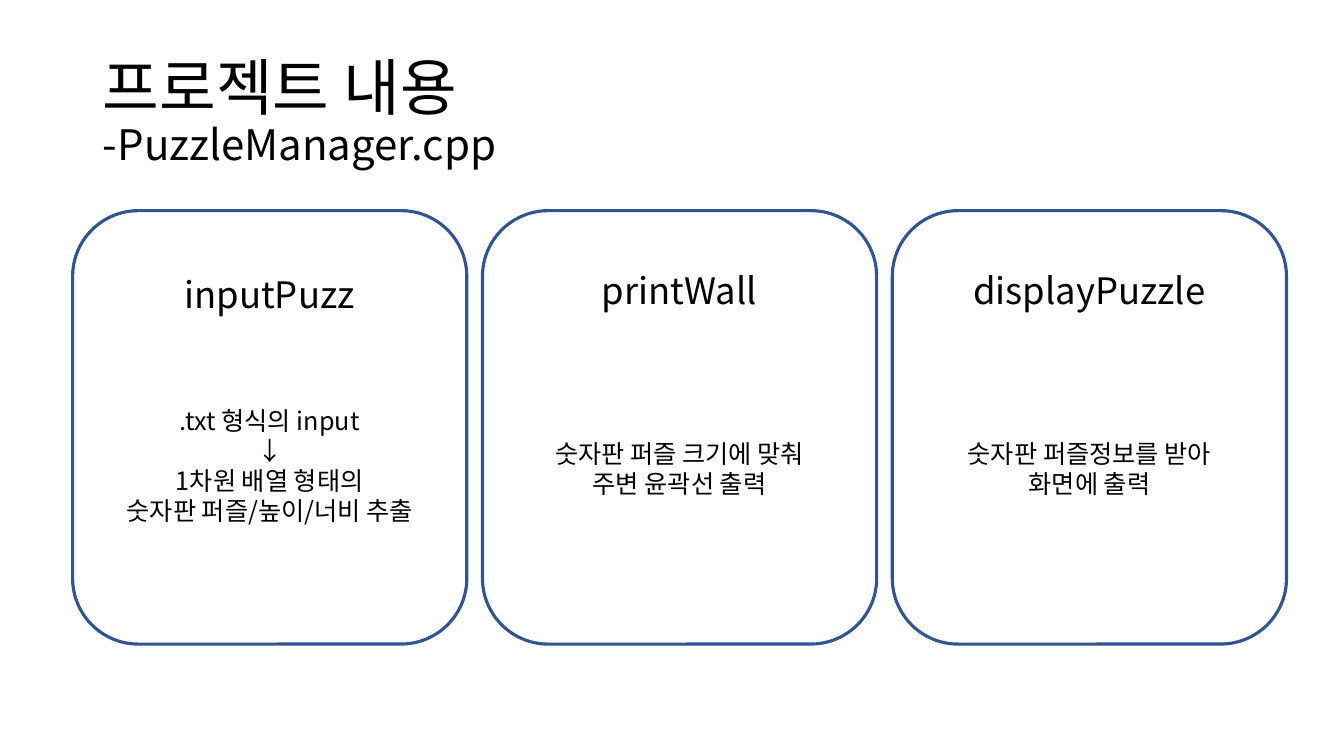
from pptx import Presentation
from pptx.dml.color import RGBColor
from pptx.enum.shapes import MSO_SHAPE
from pptx.enum.text import MSO_ANCHOR, MSO_AUTO_SIZE, PP_ALIGN
from pptx.oxml.ns import qn
from pptx.util import Inches, Pt
from lxml.etree import SubElement

BLACK = RGBColor(0x00, 0x00, 0x00)
WHITE = RGBColor(0xFF, 0xFF, 0xFF)
BLUE = RGBColor(0x32, 0x54, 0x91)
FONT = "Noto Sans CJK KR"

CARD_LEFT, CARD_STEP = 0.72, 4.065
CARDS = [
    ("inputPuzz", [".txt 형식의 input", "↓", "1차원 배열 형태의", "숫자판 퍼즐/높이/너비 추출"], 0.42, 64),
    ("printWall", ["숫자판 퍼즐 크기에 맞춰", "주변 윤곽선 출력"], 0.38, 91),
    ("displayPuzzle", ["숫자판 퍼즐정보를 받아", "화면에 출력"], 0.38, 91),
]


def add_span(para, text, size, color=BLACK):
    """Append formatted text to a paragraph."""
    span = para.add_run()
    span.text = text
    span.font.size = Pt(size)
    span.font.name = FONT
    span.font.color.rgb = color
    SubElement(span.font._element, qn("a:ea"), typeface=FONT)


def add_title(page, heading, subheading):
    """Fill the title placeholder with a heading and a smaller second line."""
    title = page.shapes.title
    title.left, title.top = Inches(0.92), Inches(0.4)
    title.width, title.height = Inches(11.5), Inches(1.45)
    frame = title.text_frame
    frame.auto_size = MSO_AUTO_SIZE.NONE
    frame.word_wrap = True
    frame.vertical_anchor = MSO_ANCHOR.MIDDLE
    para = frame.paragraphs[0]
    para.alignment = PP_ALIGN.LEFT
    para.line_spacing = 0.9
    add_span(para, heading, 44)
    para.add_line_break()
    add_span(para, subheading, 30)


def add_card(page, left, name, lines, inset, gap):
    """Draw a rounded card with a function name above its description."""
    card = page.shapes.add_shape(
        MSO_SHAPE.ROUNDED_RECTANGLE, Inches(left), Inches(2.09), Inches(3.91), Inches(4.3))
    card.shadow.inherit = False
    card.fill.solid()
    card.fill.fore_color.rgb = WHITE
    card.line.color.rgb = BLUE
    card.line.width = Pt(2.25)
    frame = card.text_frame
    frame.word_wrap = True
    frame.vertical_anchor = MSO_ANCHOR.TOP
    frame.margin_top = Inches(inset)
    for index, text in enumerate([name, *lines]):
        para = frame.add_paragraph() if index else frame.paragraphs[0]
        para.alignment = PP_ALIGN.CENTER
        para.line_spacing = Pt(21.4 if index else 31)
        para.space_after = Pt(0 if index else gap)
        add_span(para, text, 18 if index else 26)


def main():
    """Build the slide and save the deck."""
    deck = Presentation()
    deck.slide_width, deck.slide_height = Inches(13.33), Inches(7.5)
    page = deck.slides.add_slide(deck.slide_layouts[5])
    add_title(page, "프로젝트 내용", "-PuzzleManager.cpp")
    for index, card in enumerate(CARDS):
        add_card(page, CARD_LEFT + index * CARD_STEP, *card)
    deck.save("out.pptx")


if __name__ == "__main__":
    main()
